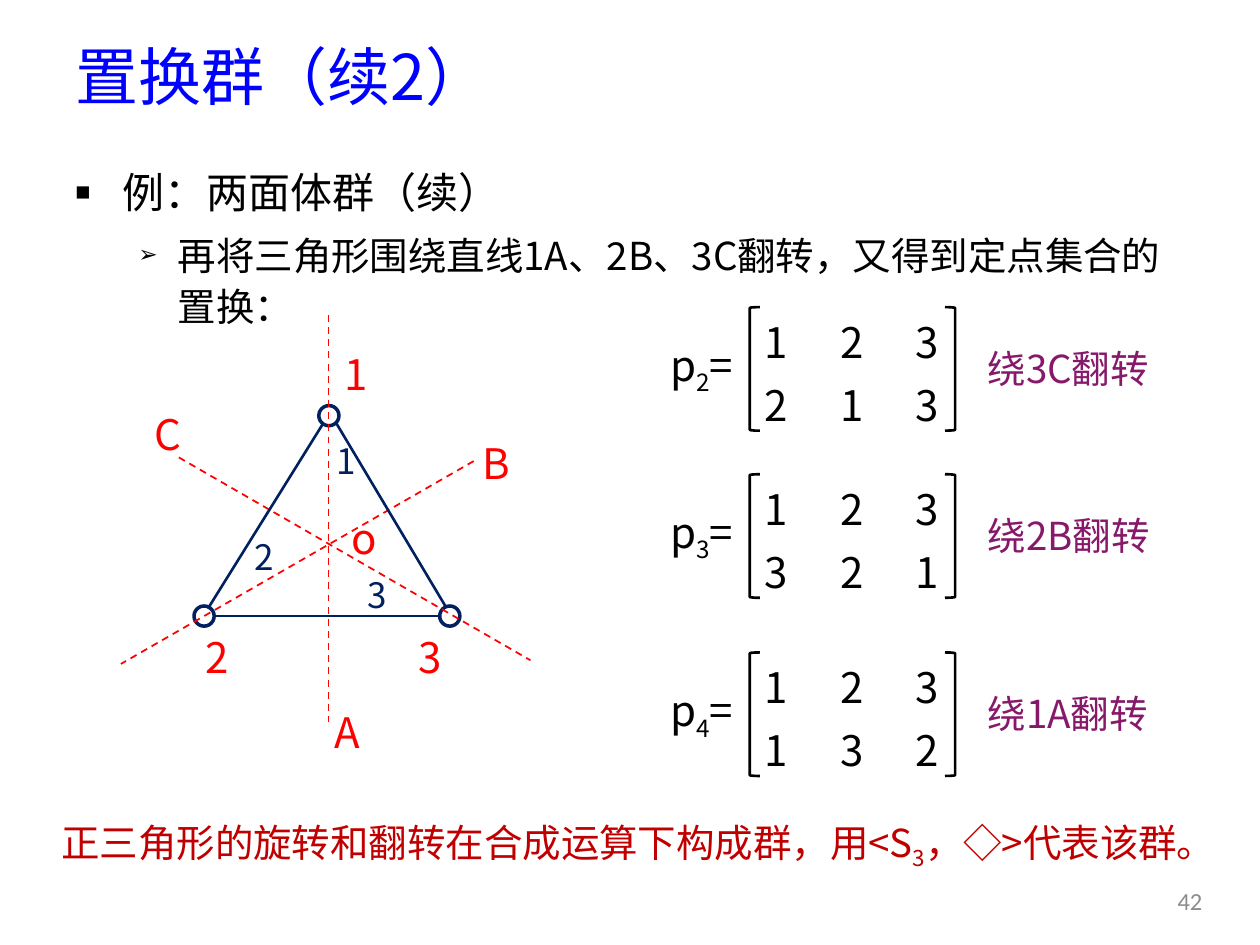
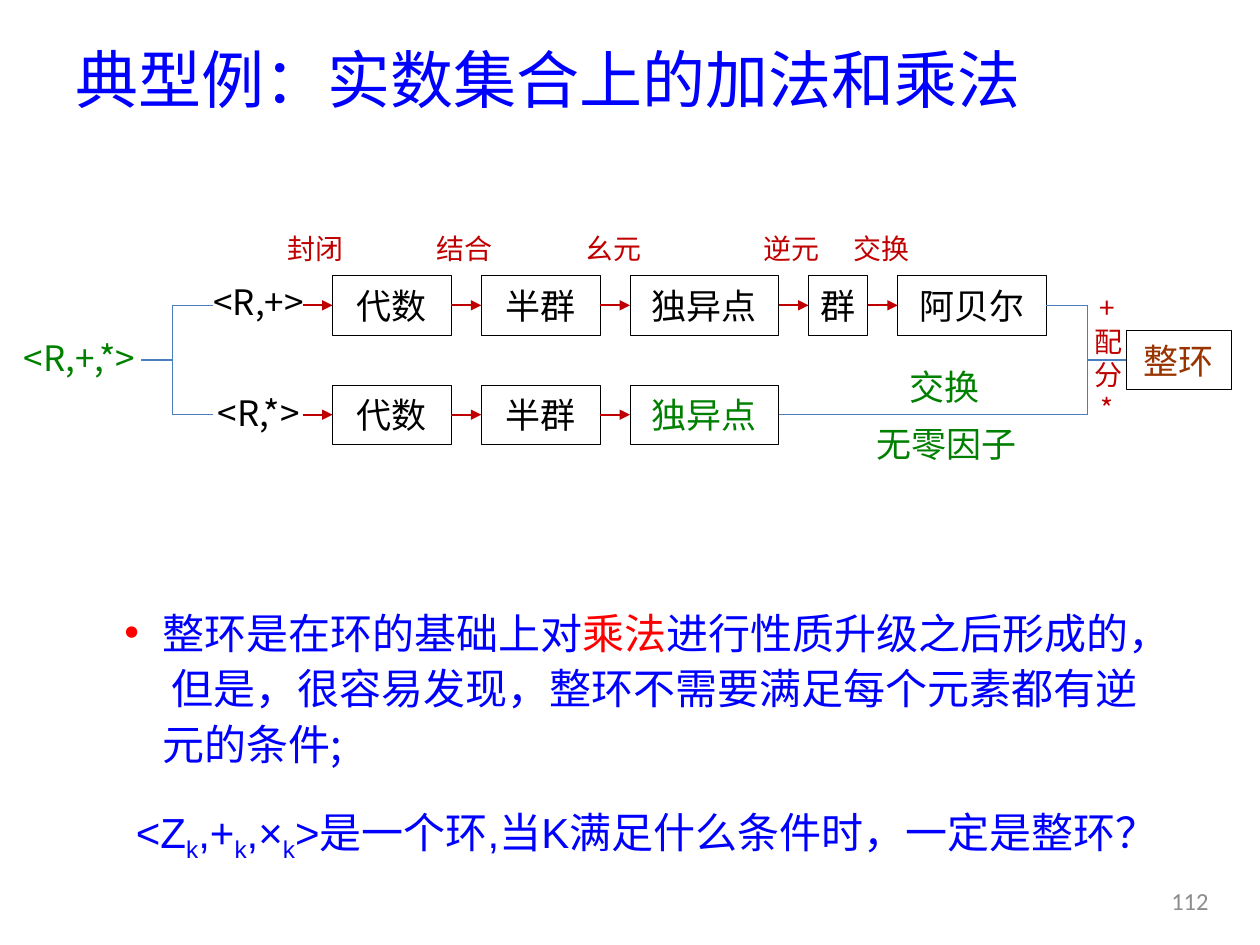
"""Build two algebra slides: the dihedral group flips and the route to an integral domain."""
from lxml import etree
from pptx import Presentation
from pptx.dml.color import RGBColor
from pptx.enum import dml, shapes, text
from pptx.oxml import ns
from pptx.util import Pt

COLORS = {
    "title": "0000FF", "black": "000000", "red": "FF0000", "crimson": "C00000",
    "navy": "002060", "purple": "87196A", "green": "008000", "brown": "993300",
    "bracket": "4B7EBC", "gray": "8C8C8C",
}
CJK = "Noto Sans CJK SC"
CENTER, LEFT = text.PP_ALIGN.CENTER, text.PP_ALIGN.LEFT


def write(holder, content, size, color, align=CENTER, font=CJK, east_asian=CJK):
    """Fill a shape or cell; "|" separates runs, and a run starting with "_" is a subscript."""
    frame = holder.text_frame
    frame.word_wrap = True
    frame.vertical_anchor = text.MSO_ANCHOR.MIDDLE
    for index, line in enumerate(content.split("\n")):
        paragraph = frame.add_paragraph() if index else frame.paragraphs[0]
        paragraph.alignment = align
        for piece in line.split("|"):
            run = paragraph.add_run()
            run.text = piece.lstrip("_")
            run.font.size = Pt(size)
            run.font.color.rgb = RGBColor.from_string(COLORS[color])
            run.font.name = font
            properties = run.font._element
            etree.SubElement(properties, ns.qn("a:ea"), typeface=east_asian)
            if piece.startswith("_"):
                properties.set("baseline", "-25000")
    return frame


def add_line(slide, start, end, color, width, dashed=False, arrow=False):
    """Draw a straight connector between two points."""
    line = slide.shapes.add_connector(
        shapes.MSO_CONNECTOR.STRAIGHT, *map(Pt, (*start, *end)))
    line.line.color.rgb = RGBColor.from_string(COLORS[color])
    line.line.width = Pt(width)
    if dashed:
        line.line.dash_style = dml.MSO_LINE.DASH
    if arrow:
        etree.SubElement(line.line._get_or_add_ln(), ns.qn("a:tailEnd"), type="triangle")
    etree.SubElement(line._element.spPr, ns.qn("a:effectLst"))
    return line


presentation = Presentation()
presentation.slide_width, presentation.slide_height = Pt(720), Pt(540)

slides = []
for heading, top, height, number in (
    ("置换群（续2）", 14.4, 57, "42"),
    ("典型例：实数集合上的加法和乘法", 19.4, 51, "112"),
):
    slide = presentation.slides.add_slide(presentation.slide_layouts[5])
    title = slide.shapes.title
    title.left, title.top, title.width, title.height = map(Pt, (36, top, 648, height))
    write(title, heading, 36, "title", LEFT).auto_size = text.MSO_AUTO_SIZE.NONE
    page = slide.shapes.add_textbox(*map(Pt, (659, 500.4, 42, 28.8)))
    write(page, number, 14, "gray", font="Calibri")
    slides.append(slide)
permutation_slide, domain_slide = slides

body = permutation_slide.shapes.add_textbox(*map(Pt, (36, 88.6, 648, 102)))
body_frame = write(
    body, "例：两面体群（续）\n再将三角形围绕直线1A、2B、3C翻转，又得到定点集合的置换：", 24, "black", LEFT)
body_frame.vertical_anchor = text.MSO_ANCHOR.TOP
body_frame.paragraphs[1].level = 1
body_frame.paragraphs[1].runs[0].font.size = Pt(22)

conclusion = permutation_slide.shapes.add_textbox(*map(Pt, (28, 451.4, 666, 57)))
write(conclusion, "正三角形的旋转和翻转在合成运算下构成群，用<S|_3|，◇>代表该群。", 22, "crimson",
      LEFT).paragraphs[0].line_spacing = 1.2

for top, name, images, flip in (
    (173.5, "2", "213", "绕3C翻转"),
    (269, "3", "321", "绕2B翻转"),
    (370.8, "4", "132", "绕1A翻转"),
):
    matrix = permutation_slide.shapes.add_table(
        2, 3, *map(Pt, (422, top, 129.6, 72))).table
    matrix.first_row = matrix.horz_banding = False
    for row, digits in enumerate(("123", images)):
        for column, digit in enumerate(digits):
            cell = matrix.cell(row, column)
            cell.fill.background()
            cell.vertical_anchor = text.MSO_ANCHOR.MIDDLE
            write(cell, digit, 24, "black")
    equation = permutation_slide.shapes.add_textbox(*map(Pt, (364.3, top + 17, 73.4, 39.6)))
    write(equation, f"p|_{name}|=", 24, "black")
    for left, kind in ((428.4, shapes.MSO_SHAPE.LEFT_BRACKET),
                       (540, shapes.MSO_SHAPE.RIGHT_BRACKET)):
        bracket = permutation_slide.shapes.add_shape(
            kind, *map(Pt, (left, top + 2, 5.8, 70.6)))
        bracket.shadow.inherit = False
        bracket.fill.background()
        bracket.line.color.rgb = RGBColor.from_string(COLORS["black"])
        bracket.line.width = Pt(1.5)
    caption = permutation_slide.shapes.add_textbox(*map(Pt, (557.3, top + 17, 113, 39.6)))
    write(caption, flip, 22, "purple", LEFT)

for left, top in ((182.2, 231.8), (251.3, 346.3), (110.9, 346.3)):
    vertex = permutation_slide.shapes.add_shape(
        shapes.MSO_SHAPE.OVAL, *map(Pt, (left, top, 11.5, 11.5)))
    vertex.shadow.inherit = False
    vertex.fill.background()
    vertex.line.color.rgb = RGBColor.from_string(COLORS["navy"])
    vertex.line.width = Pt(2)
for start, end in (((187.7, 180), (187.7, 412.6)), ((270.7, 263.5), (69.1, 379.4)),
                   ((102.2, 261.4), (303.1, 377.3))):
    add_line(permutation_slide, start, end, "red", 1, dashed=True)
for start, end in (((118.8, 347.8), (184.3, 242.6)), ((254.9, 347), (192.2, 241.9)),
                   ((121.7, 352.1), (251.3, 352.1))):
    add_line(permutation_slide, start, end, "navy", 1.5)
for left, top, mark, size, color in (
    (177.8, 193.7, "1", 24, "red"), (220.3, 355.7, "3", 24, "red"),
    (98.6, 355.7, "2", 24, "red"), (172.8, 398.2, "A", 24, "red"),
    (257.8, 244.8, "B", 24, "red"), (70.6, 228.2, "C", 24, "red"),
    (182.9, 287.3, "o", 24, "red"), (172.1, 243.4, "1", 20, "navy"),
    (190.1, 319.7, "3", 20, "navy"), (125.3, 298.1, "2", 20, "navy"),
):
    label = permutation_slide.shapes.add_textbox(*map(Pt, (left, top, 51, 39.6)))
    write(label, mark, size, color)

GAP, BOX_HEIGHT = 17, 34
UPPER, MIDDLE, LOWER = 174.5, 205.8, 237
box_specs = []
last_boxes = []
for center, names, conditions in (
    (UPPER, ("代数", "半群", "独异点", "群", "阿贝尔"), ("封闭", "结合", "幺元", "逆元", "交换")),
    (LOWER, ("代数", "半群", "独异点"), ()),
):
    left, previous = 190, None
    for name, width in zip(names, (68, 68, 85, 34, 85)):
        box = domain_slide.shapes.add_shape(
            shapes.MSO_SHAPE.RECTANGLE, *map(Pt, (left, center - BOX_HEIGHT / 2, width, BOX_HEIGHT)))
        box_specs.append((box, name, "black", CJK))
        arrow = add_line(domain_slide, (left - GAP, center), (left, center), "crimson", 1, arrow=True)
        if previous:
            arrow.begin_connect(previous, 3)
        arrow.end_connect(box, 1)
        if conditions:
            condition = domain_slide.shapes.add_textbox(*map(Pt, (left - 35, 128, 51, 28)))
            write(condition, conditions[names.index(name)], 16, "crimson")
        previous, left = box, left + width + GAP
    last_boxes.append(previous)
box_specs[-1] = (last_boxes[1], "独异点", "green", CJK)
domain_box = domain_slide.shapes.add_shape(
    shapes.MSO_SHAPE.RECTANGLE, *map(Pt, (643.7, MIDDLE - BOX_HEIGHT / 2, 60, BOX_HEIGHT)))
box_specs.append((domain_box, "整环", "brown", "Noto Sans CJK JP"))
for box, name, color, font in box_specs:
    box.shadow.inherit = False
    box.fill.background()
    box.line.color.rgb = RGBColor.from_string(COLORS["black"])
    box.line.width = Pt(0.5)
    frame = write(box, name, 20, color, font=font, east_asian=font)
    frame.margin_left = frame.margin_right = 0

for left, top, width, height, content, size, color in (
    (2.9, 187.2, 85, 34, "<R,+,*>", 20, "green"),
    (113.8, 155.5, 68, 34, "<R,+>", 20, "black"),
    (113.8, 218.9, 68, 34, "<R,*>", 20, "black"),
    (618.5, 167.8, 28, 73.4, "+配分*", 16, "crimson"),
    (505.4, 205.2, 69, 31.7, "交换", 20, "green"),
    (484.6, 237.6, 113, 31.7, "无零因子", 20, "green"),
):
    label = domain_slide.shapes.add_textbox(*map(Pt, (left, top, width, height)))
    write(label, content, size, color)

FORK, JOIN = 98.6, 621.4
for start, end in (((FORK, UPPER), (121.7, UPPER)), ((FORK, LOWER), (121.7, LOWER)),
                   ((80.6, MIDDLE), (FORK, MIDDLE)), ((FORK, UPPER), (FORK, LOWER)),
                   ((JOIN, UPPER), (JOIN, LOWER))):
    add_line(domain_slide, start, end, "bracket", 0.75)
for box, center in zip(last_boxes, (UPPER, LOWER)):
    add_line(domain_slide, (600, center), (JOIN, center), "bracket", 0.75).begin_connect(box, 3)
add_line(domain_slide, (JOIN, MIDDLE), (643.7, MIDDLE), "bracket", 0.75).end_connect(domain_box, 1)

remark = domain_slide.shapes.add_textbox(*map(Pt, (64, 303.8, 598.3, 175.7)))
remark_frame = write(
    remark, "整环是在环的基础上对|乘法|进行性质升级之后形成的， 但是，很容易发现，整环不需要满足每个元素都有逆元的条件;",
    24, "title", LEFT)
remark_frame.paragraphs[0].runs[1].font.color.rgb = RGBColor.from_string(COLORS["red"])

question = domain_slide.shapes.add_textbox(*map(Pt, (70.6, 457.2, 600.5, 36)))
write(question, "<Z|_k|,+|_k|,×|_k|>是一个环,当K满足什么条件时，一定是整环？", 24, "title", LEFT,
      font="Arial").vertical_anchor = text.MSO_ANCHOR.TOP

for paragraph, margin, indent, after, bullet, scale, color in (
    (body_frame.paragraphs[0], 27, 27, 6, "■", 60, "black"),
    (body_frame.paragraphs[1], 58.5, 22.5, 6, "➢", 60, "black"),
    (remark_frame.paragraphs[0], 21.6, 21.6, 12, "•", 100, "red"),
):
    paragraph.line_spacing = 1.1
    paragraph.space_after = Pt(after)
    properties = paragraph._p.get_or_add_pPr()
    properties.set("marL", str(Pt(margin)))
    properties.set("indent", str(-Pt(indent)))
    bullet_color = etree.SubElement(properties, ns.qn("a:buClr"))
    etree.SubElement(bullet_color, ns.qn("a:srgbClr"), val=COLORS[color])
    etree.SubElement(properties, ns.qn("a:buSzPct"), val=str(scale * 1000))
    etree.SubElement(properties, ns.qn("a:buFont"), typeface="Arial")
    etree.SubElement(properties, ns.qn("a:buChar"), char=bullet)

presentation.save("out.pptx")
